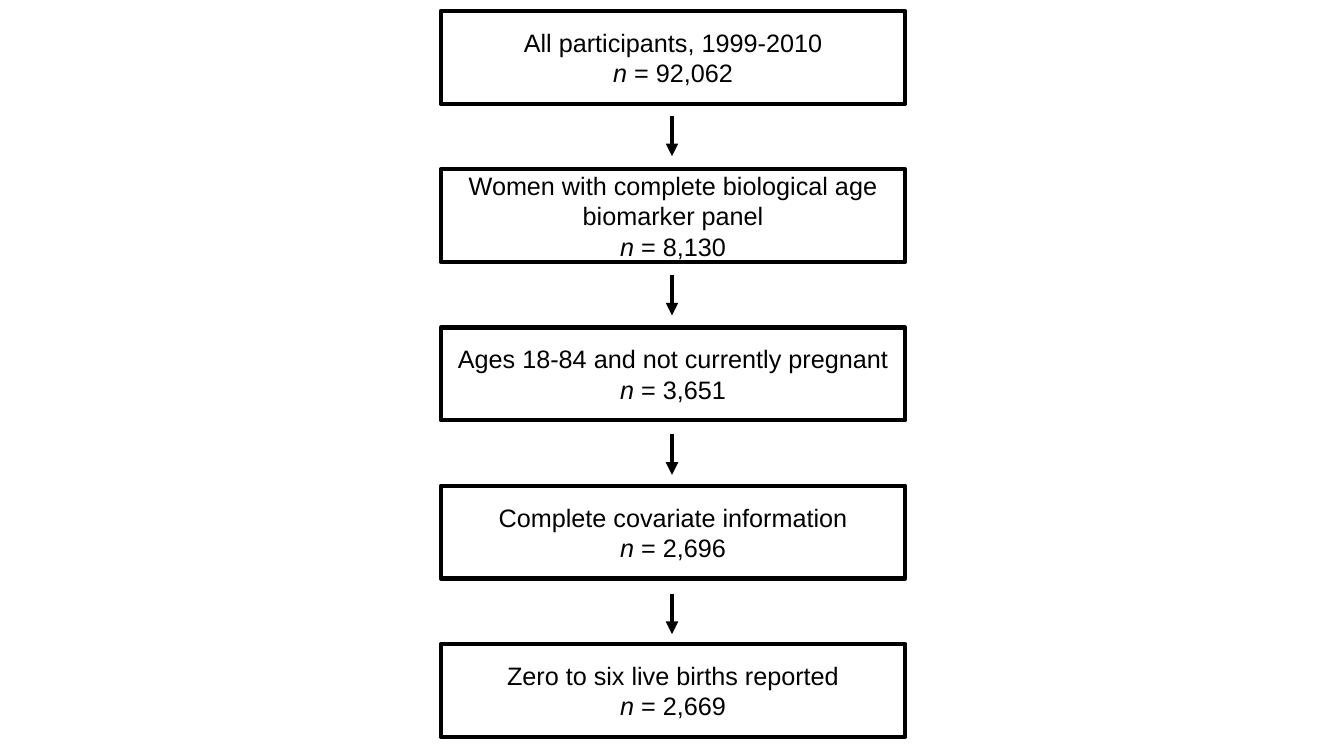
from dataclasses import dataclass

from lxml.etree import SubElement
from pptx import Presentation
from pptx.dml.color import RGBColor
from pptx.enum.shapes import MSO_CONNECTOR as Connector, MSO_SHAPE as Shape
from pptx.enum.text import MSO_ANCHOR as Anchor, PP_ALIGN as Align
from pptx.oxml.ns import qn
from pptx.util import Inches, Pt


@dataclass(frozen=True)
class Theme:
    ink: RGBColor = RGBColor(0, 0, 0)
    font: str = "Arial"
    text_size: Pt = Pt(18)
    line_width: Pt = Pt(3)


@dataclass(frozen=True)
class Grid:
    """One column of evenly spaced steps with arrows between, in inches."""
    left: float = 4.37
    top: float = 0.11
    width: float = 4.61
    height: float = 0.92
    row_pitch: float = 1.57
    arrow_top: float = 1.15
    arrow_length: float = 0.4
    arrow_pitch: float = 1.58


THEME = Theme()
GRID = Grid()
SLIDE_WIDTH, SLIDE_HEIGHT = 13.33, 7.5

STEPS = [
    ("All participants, 1999-2010", "92,062"),
    ("Women with complete biological age biomarker panel", "8,130"),
    ("Ages 18-84 and not currently pregnant", "3,651"),
    ("Complete covariate information", "2,696"),
    ("Zero to six live births reported", "2,669"),
]


def style_line(line):
    line.color.rgb = THEME.ink
    line.width = THEME.line_width


def style_paragraph(paragraph):
    paragraph.alignment = Align.CENTER
    paragraph.font.name = THEME.font
    paragraph.font.size = THEME.text_size
    paragraph.font.color.rgb = THEME.ink


def add_step(slide, row, criterion, count):
    """Add the outlined box that states a selection criterion and its sample size."""
    top = GRID.top + row * GRID.row_pitch
    step = slide.shapes.add_shape(
        Shape.RECTANGLE, Inches(GRID.left), Inches(top), Inches(GRID.width), Inches(GRID.height)
    )
    step.shadow.inherit = False
    step.fill.background()
    style_line(step.line)

    frame = step.text_frame
    frame.word_wrap = True
    frame.vertical_anchor = Anchor.MIDDLE
    criterion_line = frame.paragraphs[0]
    criterion_line.add_run().text = criterion
    count_line = frame.add_paragraph()
    symbol = count_line.add_run()
    symbol.text = "n"
    symbol.font.italic = True
    count_line.add_run().text = f" = {count}"
    for paragraph in frame.paragraphs:
        style_paragraph(paragraph)


def add_down_arrow(slide, row):
    center = Inches(SLIDE_WIDTH / 2)
    top = GRID.arrow_top + row * GRID.arrow_pitch
    arrow = slide.shapes.add_connector(
        Connector.STRAIGHT, center, Inches(top), center, Inches(top + GRID.arrow_length)
    )
    style_line(arrow.line)
    SubElement(arrow.line._get_or_add_ln(), qn("a:tailEnd"), type="triangle")
    SubElement(arrow._element.spPr, qn("a:effectLst"))


def main():
    deck = Presentation()
    deck.slide_width, deck.slide_height = Inches(SLIDE_WIDTH), Inches(SLIDE_HEIGHT)
    slide = deck.slides.add_slide(deck.slide_layouts[6])
    for row, (criterion, count) in enumerate(STEPS):
        if row:
            add_down_arrow(slide, row - 1)
        add_step(slide, row, criterion, count)
    deck.save("out.pptx")


if __name__ == "__main__":
    main()
